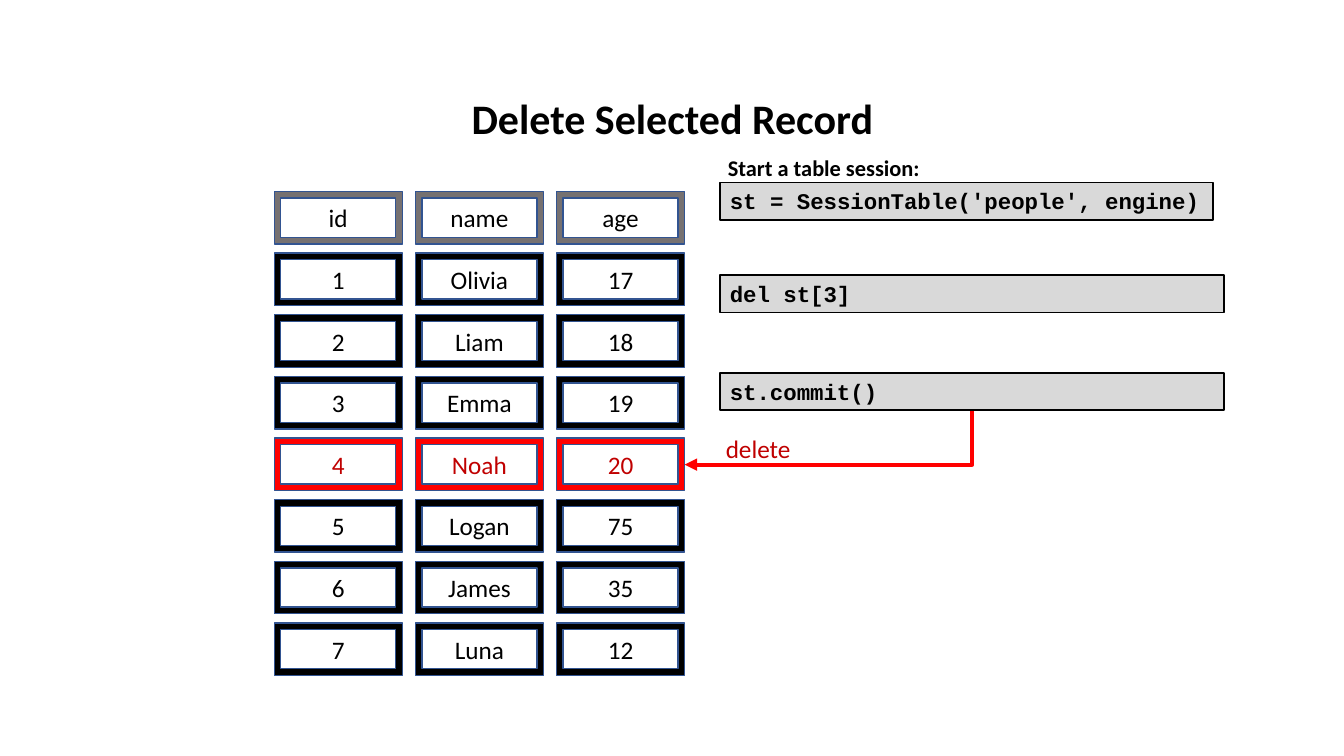
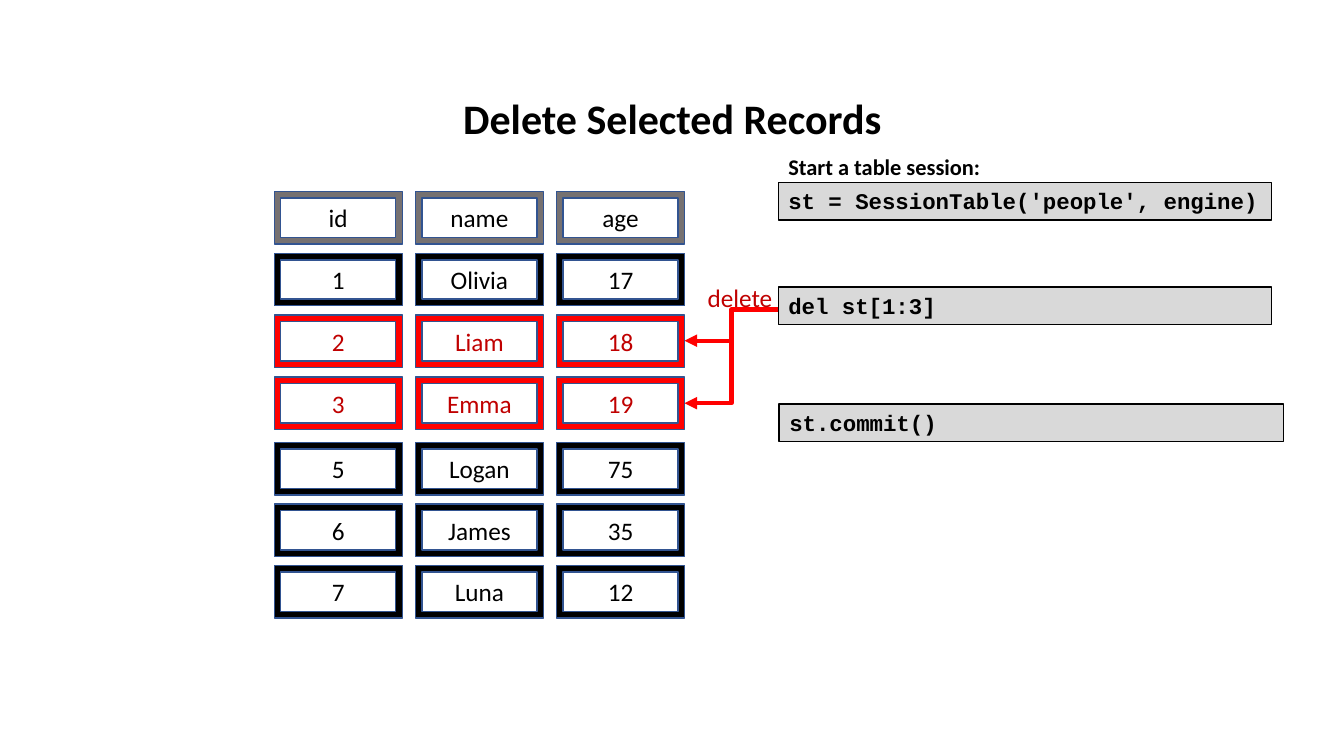
import lxml.etree
import pptx
import pptx.dml.color
import pptx.enum.shapes
import pptx.enum.text
import pptx.oxml.ns
import pptx.util

Inches = pptx.util.Inches
SHAPES = pptx.enum.shapes.MSO_SHAPE
CONNECTORS = pptx.enum.shapes.MSO_CONNECTOR
ALIGN = pptx.enum.text.PP_ALIGN
ANCHOR = pptx.enum.text.MSO_ANCHOR

BLACK, RED, DARK_RED = "000000", "FF0000", "C00000"
HEADER_GRAY, CODE_GRAY, FRAME_LINE = "767171", "D9D9D9", "325491"
BODY_FONT, CODE_FONT = "Calibri", "Courier New"

CELL_WIDTH, CELL_HEIGHT = 1.27, 0.52
CODE_HEIGHT = 0.37
TABLE_LEFT, TABLE_TOP, TABLE_WIDTH = 2.72, 1.9, 4.07
TABLE_RIGHT = TABLE_LEFT + TABLE_WIDTH

HEADER = ("id", "name", "age")
PEOPLE = [
    ("1", "Olivia", "17"),
    ("2", "Liam", "18"),
    ("3", "Emma", "19"),
    ("4", "Noah", "20"),
    ("5", "Logan", "75"),
    ("6", "James", "35"),
    ("7", "Luna", "12"),
]


def color(value):
    """Turn a hex string into a colour."""
    return pptx.dml.color.RGBColor.from_string(value)


def write_text(shape, text, size, font=BODY_FONT, ink=BLACK, bold=False,
               align=ALIGN.LEFT, anchor=ANCHOR.TOP):
    """Put one formatted line of text into a shape."""
    frame = shape.text_frame
    frame.text = text
    frame.word_wrap = True
    frame.vertical_anchor = anchor
    paragraph = frame.paragraphs[0]
    paragraph.alignment = align
    for run in paragraph.runs:
        run.font.name = font
        run.font.size = pptx.util.Pt(size)
        run.font.bold = bold
        run.font.color.rgb = color(ink)


def add_label(slide, box, text, size, **style):
    """Add a text box."""
    label = slide.shapes.add_textbox(*map(Inches, box))
    write_text(label, text, size, **style)


def add_filled_shape(slide, kind, box, fill, line, line_width):
    """Add a preset shape with a plain fill and outline."""
    shape = slide.shapes.add_shape(kind, *map(Inches, box))
    shape.shadow.inherit = False
    shape.fill.solid()
    shape.fill.fore_color.rgb = color(fill)
    shape.line.color.rgb = color(line)
    shape.line.width = pptx.util.Pt(line_width)
    return shape


def add_title(slide, text):
    """Add the centred slide title."""
    add_label(slide, (3.28, 0.87, 6.78, 0.61), text, 30, bold=True, align=ALIGN.CENTER)


def add_code(slide, left, top, width, text):
    """Add a gray box with one line of code."""
    box = (left, top, width, CODE_HEIGHT)
    shape = add_filled_shape(slide, SHAPES.RECTANGLE, box, CODE_GRAY, BLACK, 1.25)
    write_text(shape, text, 16, font=CODE_FONT, bold=True)


def add_session_start(slide, left, caption_left, caption_top):
    """Add the captioned code that opens the session."""
    add_label(slide, (caption_left, caption_top, 4.89, 0.37), "Start a table session:", 16, bold=True)
    add_code(slide, left, 1.81, 4.89, "st = SessionTable('people', engine)")


def add_delete_label(slide, left, top):
    """Add the red word beside an arrow."""
    add_label(slide, (left, top, 0.92, 0.4), "delete", 18, ink=DARK_RED)


def add_records(slide, box, rows, deleted=()):
    """Spread rows of framed cells evenly over the box."""
    left, top, width, height = box
    column_step = (width - CELL_WIDTH) / (len(HEADER) - 1)
    row_step = (height - CELL_HEIGHT) / (len(rows) - 1)
    for row_index, row in enumerate(rows):
        is_deleted = row[0] in deleted
        fill = HEADER_GRAY if row == HEADER else RED if is_deleted else BLACK
        for column_index, value in enumerate(row):
            cell = (left + column_index * column_step, top + row_index * row_step,
                    CELL_WIDTH, CELL_HEIGHT)
            shape = add_filled_shape(slide, SHAPES.FRAME, cell, fill, FRAME_LINE, 1)
            write_text(shape, value, 18, ink=DARK_RED if is_deleted else BLACK,
                       align=ALIGN.CENTER, anchor=ANCHOR.MIDDLE)


def add_arrow(slide, kind, start, end):
    """Add a red connector with an arrowhead at its end."""
    arrow = slide.shapes.add_connector(kind, *map(Inches, start + end))
    arrow.line.color.rgb = color(RED)
    arrow.line.width = pptx.util.Pt(3)
    line = arrow.line._get_or_add_ln()
    lxml.etree.SubElement(line, pptx.oxml.ns.qn("a:tailEnd"), type="triangle")
    lxml.etree.SubElement(arrow._element.spPr, pptx.oxml.ns.qn("a:effectLst"))
    return arrow


def add_corner_arrow(slide, start, end):
    """Add an arrow that runs down and then left, as a quarter-turned corner."""
    center_x, center_y = (start[0] + end[0]) / 2, (start[1] + end[1]) / 2
    half_width, half_height = (end[1] - start[1]) / 2, (start[0] - end[0]) / 2
    arrow = add_arrow(slide, CONNECTORS.ELBOW,
                      (center_x - half_width, center_y - half_height),
                      (center_x + half_width, center_y + half_height))
    properties = arrow._element.spPr
    properties.find(pptx.oxml.ns.qn("a:xfrm")).set("rot", "5400000")
    properties.find(pptx.oxml.ns.qn("a:prstGeom")).set("prst", "bentConnector2")


def build_single_delete(slide):
    """Show the deletion of one record."""
    left = 7.14
    add_title(slide, "Delete Selected Record")
    add_records(slide, (TABLE_LEFT, TABLE_TOP, TABLE_WIDTH, 4.8), [HEADER] + PEOPLE, deleted=("4",))
    add_corner_arrow(slide, (9.64, 4.07), (TABLE_RIGHT, 4.61))
    add_delete_label(slide, 7.1, 4.25)
    add_session_start(slide, left, 7.12, 1.48)
    add_code(slide, left, 2.73, 5, "del st[3]")
    add_code(slide, left, 3.7, 5, "st.commit()")


def build_range_delete(slide):
    """Show the deletion of a range of records."""
    left = 7.72
    add_title(slide, "Delete Selected Records")
    add_records(slide, (TABLE_LEFT, TABLE_TOP, TABLE_WIDTH, 2.36), [HEADER] + PEOPLE[:3], deleted=("2", "3"))
    add_records(slide, (TABLE_LEFT, 4.39, TABLE_WIDTH, 1.74), PEOPLE[4:])
    add_session_start(slide, left, left, 1.47)
    add_code(slide, left, 2.85, 4.89, "del st[1:3]")
    add_code(slide, left + 0.01, 4.01, 5, "st.commit()")
    add_arrow(slide, CONNECTORS.ELBOW, (left, 3.07), (TABLE_RIGHT, 4))
    add_arrow(slide, CONNECTORS.STRAIGHT, (7.25, 3.38), (TABLE_RIGHT, 3.38))
    add_delete_label(slide, 6.92, 2.75)


def main():
    """Build and save the presentation."""
    presentation = pptx.Presentation()
    presentation.slide_width = Inches(13.33)
    presentation.slide_height = Inches(7.5)
    for build in (build_single_delete, build_range_delete):
        build(presentation.slides.add_slide(presentation.slide_layouts[6]))
    presentation.save("out.pptx")


main()
